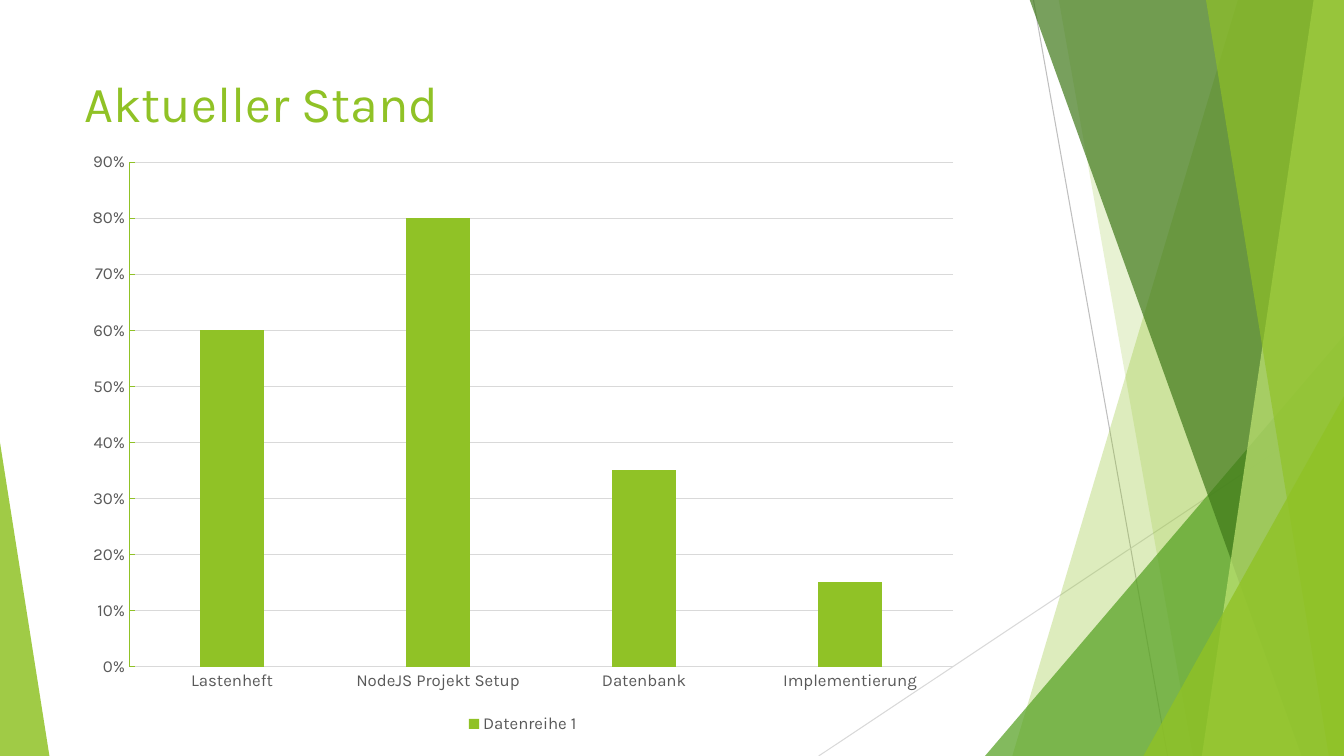
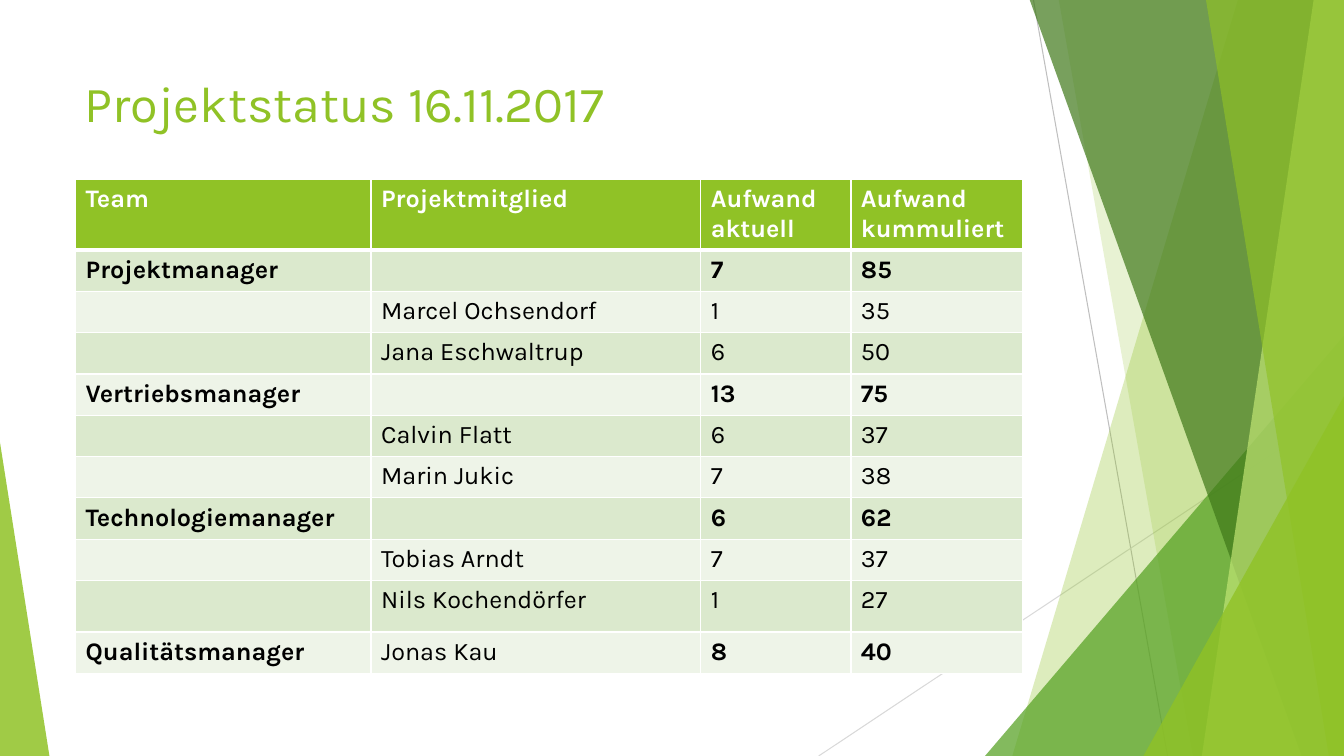
from lxml.etree import SubElement
from pptx import Presentation
from pptx.chart.data import CategoryChartData
from pptx.dml.color import RGBColor
from pptx.enum.chart import XL_CHART_TYPE, XL_LEGEND_POSITION, XL_TICK_MARK
from pptx.enum.shapes import MSO_CONNECTOR, MSO_SHAPE
from pptx.enum.text import MSO_ANCHOR
from pptx.oxml.ns import qn
from pptx.util import Pt

EMU_PER_PX = 9144
WIDTH, HEIGHT = 1333, 750

TASKS = {
    "Lastenheft": 0.6,
    "NodeJS Projekt Setup": 0.8,
    "Datenbank": 0.35,
    "Implementierung": 0.15,
}

EFFORT = [
    ("Team", "Projektmitglied", "Aufwand aktuell", "Aufwand kummuliert"),
    ("Projektmanager", "", "7", "85"),
    ("", "Marcel Ochsendorf", "1", "35"),
    ("", "Jana Eschwaltrup", "6", "50"),
    ("Vertriebsmanager", "", "13", "75"),
    ("", "Calvin Flatt", "6", "37"),
    ("", "Marin Jukic", "7", "38"),
    ("Technologiemanager", "", "6", "62"),
    ("", "Tobias Arndt", "7", "37"),
    ("", "Nils Kochendörfer", "1", "27"),
    ("Qualitätsmanager", "Jonas Kau", "8", "40"),
]


def px(n):
    return n * EMU_PER_PX


def rgb(color):
    return RGBColor.from_string(color)


class Deck:
    FONT = "Karla"
    LIME, LEAF, FOREST, PALE = "90C226", "54A021", "3F7819", "C0E474"
    WHITE, BLACK, LABEL, RULE, THIN = "FFFFFF", "000000", "595959", "D9D9D9", "BFBFBF"
    BANDS = ("EEF4E8", "DBE9CD")

    def __init__(self):
        self.prs = Presentation()
        self.prs.slide_width = px(WIDTH)
        self.prs.slide_height = px(HEIGHT)
        self.slide = None

    def add_slide(self, title):
        self.slide = self.prs.slides.add_slide(self.prs.slide_layouts[6])
        self.backdrop()
        self.title(title)

    def backdrop(self):
        self.line(1025, 0, 1158, HEIGHT, self.THIN)
        self.line(WIDTH, 403, 812, HEIGHT, self.RULE)
        self.facet(1228, 1004, self.LIME, 30)
        self.facet(1050, 1183, self.LIME, 20)
        self.triangle(977, 333, 356, 1, self.LEAF, 72)
        self.facet(1021, 1291, self.FOREST, 70)
        self.facet(1303, 1192, self.PALE, 70)
        self.facet(1196, 1318, self.LIME, 65)
        self.triangle(1134, 393, 199, 1, self.LIME, 80)
        self.triangle(0, 439, 49, 0, self.LIME, 85)

    def font(self, font, size, color, bold=False):
        font.name = self.FONT
        font.size = Pt(size)
        font.bold = bold
        font.color.rgb = rgb(color)

    def stroke(self, line, color):
        line.color.rgb = rgb(color)
        line.width = Pt(0.75)

    def paint(self, sp, color, opacity):
        sp.shadow.inherit = False
        sp.line.fill.background()
        sp.fill.solid()
        sp.fill.fore_color.rgb = rgb(color)
        clr = sp.element.spPr.find(qn("a:solidFill")).find(qn("a:srgbClr"))
        SubElement(clr, qn("a:alpha"), val=str(opacity * 1000))

    def line(self, x1, y1, x2, y2, color):
        sp = self.slide.shapes.add_connector(
            MSO_CONNECTOR.STRAIGHT, px(x1), px(y1), px(x2), px(y2))
        self.stroke(sp.line, color)
        SubElement(sp.element.spPr, qn("a:effectLst"))

    def facet(self, top_x, bottom_x, color, opacity):
        builder = self.slide.shapes.build_freeform(top_x, -1, scale=EMU_PER_PX)
        builder.add_line_segments(
            [(WIDTH, -1), (WIDTH, HEIGHT), (bottom_x, HEIGHT)], close=True)
        self.paint(builder.convert_to_shape(), color, opacity)

    def triangle(self, x, y, w, apex, color, opacity):
        sp = self.slide.shapes.add_shape(
            MSO_SHAPE.ISOSCELES_TRIANGLE, px(x), px(y), px(w), px(HEIGHT - y))
        sp.adjustments[0] = apex
        self.paint(sp, color, opacity)

    def title(self, text):
        sp = self.slide.shapes.add_textbox(px(74), px(67), px(940), px(144))
        tf = sp.text_frame
        tf.word_wrap = True
        tf.vertical_anchor = MSO_ANCHOR.TOP
        tf.text = text
        self.font(tf.paragraphs[0].runs[0].font, 36, self.LIME)

    def column_chart(self, x, y, w, h, name, values):
        data = CategoryChartData(number_format="0%")
        data.categories = list(values)
        data.add_series(name, list(values.values()))
        chart = self.slide.shapes.add_chart(
            XL_CHART_TYPE.COLUMN_CLUSTERED, px(x), px(y), px(w), px(h), data).chart
        self.font(chart.font, 12, self.LABEL)
        chart.has_title = False
        chart.has_legend = True
        chart.legend.position = XL_LEGEND_POSITION.BOTTOM
        chart.legend.include_in_layout = False
        self.font(chart.legend.font, 12, self.LABEL)

        plot = chart.plots[0]
        plot.vary_by_categories = False
        plot.gap_width = 219
        plot.overlap = -27
        fill = plot.series[0].format.fill
        fill.solid()
        fill.fore_color.rgb = rgb(self.LIME)

        axes = (
            (chart.category_axis, XL_TICK_MARK.NONE, self.RULE),
            (chart.value_axis, XL_TICK_MARK.INSIDE, self.LIME),
        )
        for axis, tick, color in axes:
            axis.major_tick_mark = tick
            axis.minor_tick_mark = XL_TICK_MARK.NONE
            self.stroke(axis.format.line, color)
            self.font(axis.tick_labels.font, 12, self.LABEL)
        axis = chart.value_axis
        axis.minimum_scale, axis.maximum_scale, axis.major_unit = 0, 0.9, 0.1
        axis.tick_labels.number_format = "0%"
        axis.tick_labels.number_format_is_linked = False
        axis.has_major_gridlines = True
        self.stroke(axis.major_gridlines.format.line, self.RULE)

    def table(self, x, y, widths, heights, rows):
        table = self.slide.shapes.add_table(
            len(rows), len(widths), px(x), px(y), px(sum(widths)), px(sum(heights))).table
        for col, w in zip(table.columns, widths):
            col.width = px(w)
        for row, h in zip(table.rows, heights):
            row.height = px(h)
        for i, values in enumerate(rows):
            header = i == 0
            for j, text in enumerate(values):
                cell = table.cell(i, j)
                cell.fill.solid()
                cell.fill.fore_color.rgb = rgb(self.LIME if header else self.BANDS[i % 2])
                self.borders(cell, top=3 if i == 1 else 1, bottom=3 if header else 1)
                cell.text = text
                bold = header or (bool(values[0]) and j != 1)
                for r in cell.text_frame.paragraphs[0].runs:
                    self.font(r.font, 18, self.WHITE if header else self.BLACK, bold)

    def borders(self, cell, top, bottom):
        tc_pr = cell._tc.get_or_add_tcPr()
        edges = (("a:lnL", 1), ("a:lnR", 1), ("a:lnT", top), ("a:lnB", bottom))
        for pos, (tag, width) in enumerate(edges):
            ln = SubElement(tc_pr, qn(tag), w=str(Pt(width)))
            fill = SubElement(ln, qn("a:solidFill"))
            SubElement(fill, qn("a:srgbClr"), val=self.WHITE)
            tc_pr.insert(pos, ln)


def main():
    deck = Deck()
    deck.add_slide("Aktueller Stand")
    deck.column_chart(74, 139, 889, 593, "Datenreihe 1", TASKS)
    deck.add_slide("Projektstatus 16.11.2017")
    deck.table(75, 178, [293, 327, 149, 170], [66] + [41] * 8 + [51, 41], EFFORT)
    deck.prs.save("out.pptx")


if __name__ == "__main__":
    main()
